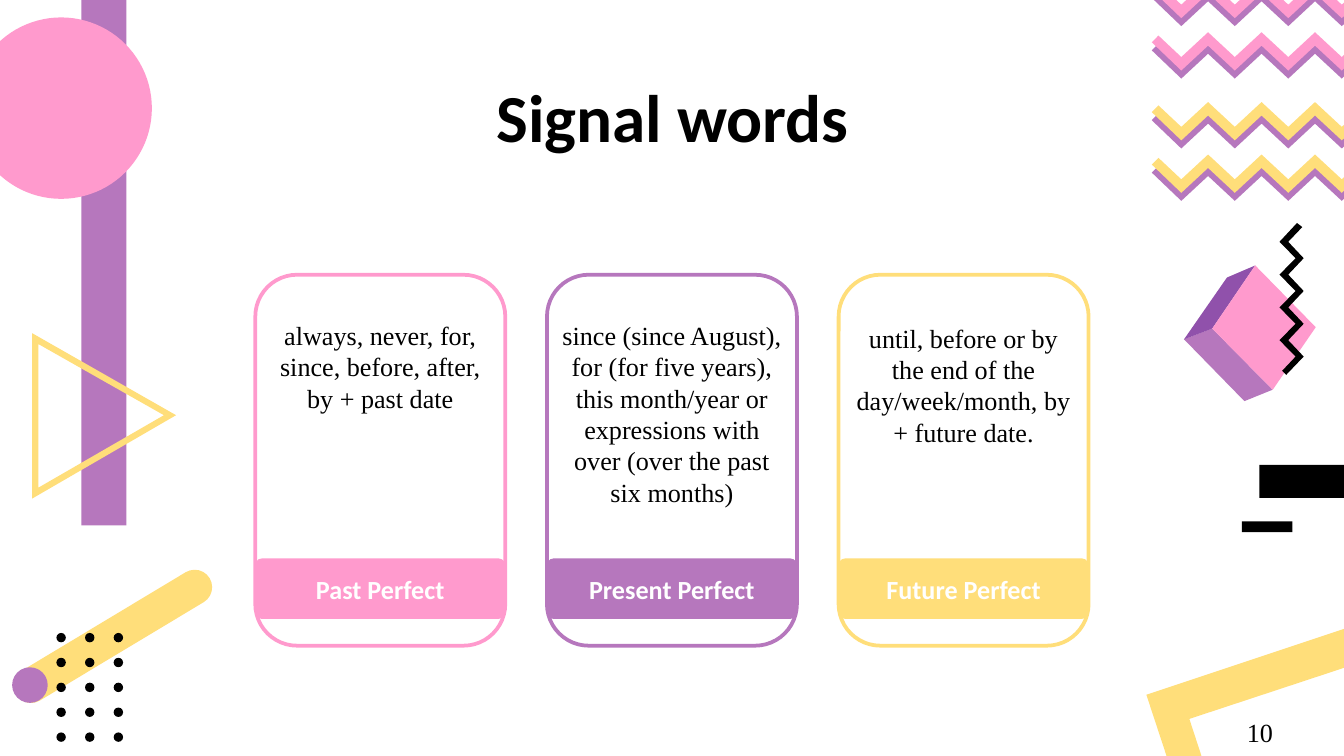
from pptx import Presentation
from pptx.dml.color import RGBColor
from pptx.enum.shapes import MSO_SHAPE
from pptx.enum.text import MSO_ANCHOR, PP_ALIGN
from pptx.util import Inches, Pt

# The slide is a grid of square cells, 100 columns by 56.25 rows.
COLUMNS, ROWS = 100, 56.25
CELL = Inches(10) / COLUMNS

PINK, PURPLE, YELLOW = "FF9ACD", "B677BD", "FFDE7A"
DEEP_PURPLE, BLACK, WHITE = "9051AB", "000000", "FFFFFF"
HEADING, BODY = "Calibri", "Times New Roman"

CARDS = [
    ("Past Perfect", PINK, 2.3, 10.1,
     "always, never, for, since, before, after, by + past date"),
    ("Present Perfect", PURPLE, 2.3, 15.4,
     "since (since August), for (for five years), this month/year or "
     "expressions with over (over the past six months)"),
    ("Future Perfect", YELLOW, 2.5, 12.2,
     "until, before or by the end of the day/week/month, by + future date."),
]


def cells(*counts):
    return [round(count * CELL) for count in counts]


def rgb(color):
    return RGBColor.from_string(color)


def paint(shape, fill, line=None):
    shape.shadow.inherit = False
    shape.fill.solid()
    shape.fill.fore_color.rgb = rgb(fill)
    if line:
        shape.line.color.rgb = rgb(line)
        shape.line.width = Pt(2)
    else:
        shape.line.fill.background()


def add_preset(slide, preset, box, fill, line=None, corner=None):
    shape = slide.shapes.add_shape(preset, *cells(*box))
    if corner is not None:
        shape.adjustments[0] = corner
    paint(shape, fill, line)
    return shape


def add_outline(slide, origin, fill, *contours):
    """Fill closed contours whose points are measured from origin."""
    left, top = origin
    placed = [[cells(left + x, top + y) for x, y in contour] for contour in contours]
    builder = slide.shapes.build_freeform(*placed[0][0], scale=1.0)
    builder.add_line_segments(placed[0][1:], close=True)
    for contour in placed[1:]:
        builder.move_to(*contour[0])
        builder.add_line_segments(contour[1:], close=True)
    paint(builder.convert_to_shape(), fill)


def write(shape, text, font, size, color, bold=False, anchor=MSO_ANCHOR.TOP, inset=1):
    frame = shape.text_frame
    frame.word_wrap = True
    frame.vertical_anchor = anchor
    frame.margin_left, frame.margin_right = cells(1, 1)
    frame.margin_top, frame.margin_bottom = cells(inset, inset)
    paragraph = frame.paragraphs[0]
    paragraph.alignment = PP_ALIGN.CENTER
    run = paragraph.add_run()
    run.text = text
    run.font.name = font
    run.font.size = Pt(size)
    run.font.bold = bold
    run.font.color.rgb = rgb(color)


def add_label(slide, box, *content, **style):
    write(slide.shapes.add_textbox(*cells(*box)), *content, **style)


def bends(first, pitch, even, odd):
    """Eight turning points as (distance along, distance across)."""
    return [(first + pitch * i, odd if i % 2 else even) for i in range(8)]


def add_wave(slide, origin, color):
    upper = bends(2.2, 1.99, 1.85, 0)
    lower = bends(2.2, 1.99, 2.85, 1)
    add_outline(slide, origin, color,
                [(0.5, 0.25), *upper, (18.3, 2.05), (17.8, 2.65), *lower[::-1], (0, 0.75)])


def add_wave_pairs(slide, left, top, color):
    for row in (top, top + 3.9):
        add_wave(slide, (left, row + 0.6), PURPLE)
        add_wave(slide, (left, row), color)


def add_spring(slide, origin):
    near = [(x, y) for y, x in bends(1.4, 1.22, 0, 1.2)]
    far = [(x, y) for y, x in bends(1.4, 1.22, 0.65, 1.8)]
    add_outline(slide, origin, BLACK,
                [(1.3, 0), *near, (0.2, 11), (0.5, 11.3), *far[::-1], (1.7, 0.3)])


def add_tilted_block(slide, origin):
    left, top, right, bottom = (0, 5.5), (5.3, 0), (9.8, 4.6), (6.6, 9.25)
    middle, back, foot = (2.1, 4.7), (3.2, 0.9), (4.5, 10.1)
    add_outline(slide, origin, PURPLE, [middle, left, foot, bottom])
    add_outline(slide, origin, DEEP_PURPLE, [top, back, left, middle])
    add_outline(slide, origin, PINK, [top, middle, bottom, right])


def add_right_decor(slide, left):
    add_preset(slide, MSO_SHAPE.RECTANGLE, (left + 8.4, 34.6, 27.4, 2.45), BLACK)
    add_wave_pairs(slide, left + 0.4, 7.6, YELLOW)
    add_outline(slide, (left, 46.8), YELLOW,
                [(14.7, 0), (0, 4.9), (1.5, 9.45), (4.1, 9.45), (3.2, 6.7), (14.7, 2.9)])
    add_tilted_block(slide, (left + 2.8, 19.75))
    add_preset(slide, MSO_SHAPE.RECTANGLE, (left + 7.1, 38.8, 3.75, 0.8), BLACK)
    add_spring(slide, (left + 9.9, 16.6))
    add_wave_pairs(slide, left + 0.4, -1.5, PINK)


def add_dots(slide, left, top):
    for row in range(5):
        for column in range(3):
            add_preset(slide, MSO_SHAPE.OVAL,
                       (left + 2.13 * column, top + 1.85 * row, 0.7, 0.7), BLACK)


def add_left_decor(slide, left):
    bar = add_preset(slide, MSO_SHAPE.ROUNDED_RECTANGLE,
                     (left, 46.05, 16.8, 2.6), YELLOW, corner=0.5)
    bar.rotation = -31
    add_preset(slide, MSO_SHAPE.OVAL, (left + 0.9, 49.65, 2.65, 2.65), PURPLE)
    add_preset(slide, MSO_SHAPE.RECTANGLE, (left + 6.05, -6.4, 3.35, 45.5), PURPLE)
    add_preset(slide, MSO_SHAPE.OVAL, (left - 2.2, 1.3, 13.5, 13.5), PINK)
    add_dots(slide, left + 4.2, 47.1)
    add_outline(slide, (left + 2.4, 24.8), YELLOW,
                [(0, 0), (0, 12.3), (10.7, 6.1)],
                [(0.45, 0.8), (9.8, 6.1), (0.45, 11.5)])


def add_card(slide, box, heading, color, text_row, text_rows, words):
    left, top, width, height = box
    add_preset(slide, MSO_SHAPE.ROUNDED_RECTANGLE, box, WHITE, color, 0.167)
    add_label(slide, (left, top + text_row, width, text_rows), words, BODY, 14, BLACK)
    band = add_preset(slide, MSO_SHAPE.ROUNDED_RECTANGLE,
                      (left, top + height - 6.5, width, 4.5), color, corner=0.108)
    write(band, heading, HEADING, 14, WHITE, bold=True, anchor=MSO_ANCHOR.MIDDLE)


def add_cards(slide, left, top, width, height, pitch):
    for index, card in enumerate(CARDS):
        add_card(slide, (left + pitch * index, top, width, height), *card)


def main():
    presentation = Presentation()
    presentation.slide_width, presentation.slide_height = cells(COLUMNS, ROWS)
    slide = presentation.slides.add_slide(presentation.slide_layouts[6])
    add_right_decor(slide, 85.3)
    add_left_decor(slide, 0)
    add_label(slide, (12.7, 4, 74.7, 9.2), "Signal words", HEADING, 36, BLACK,
              bold=True, anchor=MSO_ANCHOR.MIDDLE)
    add_cards(slide, 19, 20.45, 18.6, 27.6, 21.7)
    add_label(slide, (90, 52.8, 7.5, 3.4), "10", BODY, 14, BLACK, inset=0.5)
    presentation.save("out.pptx")


if __name__ == "__main__":
    main()
